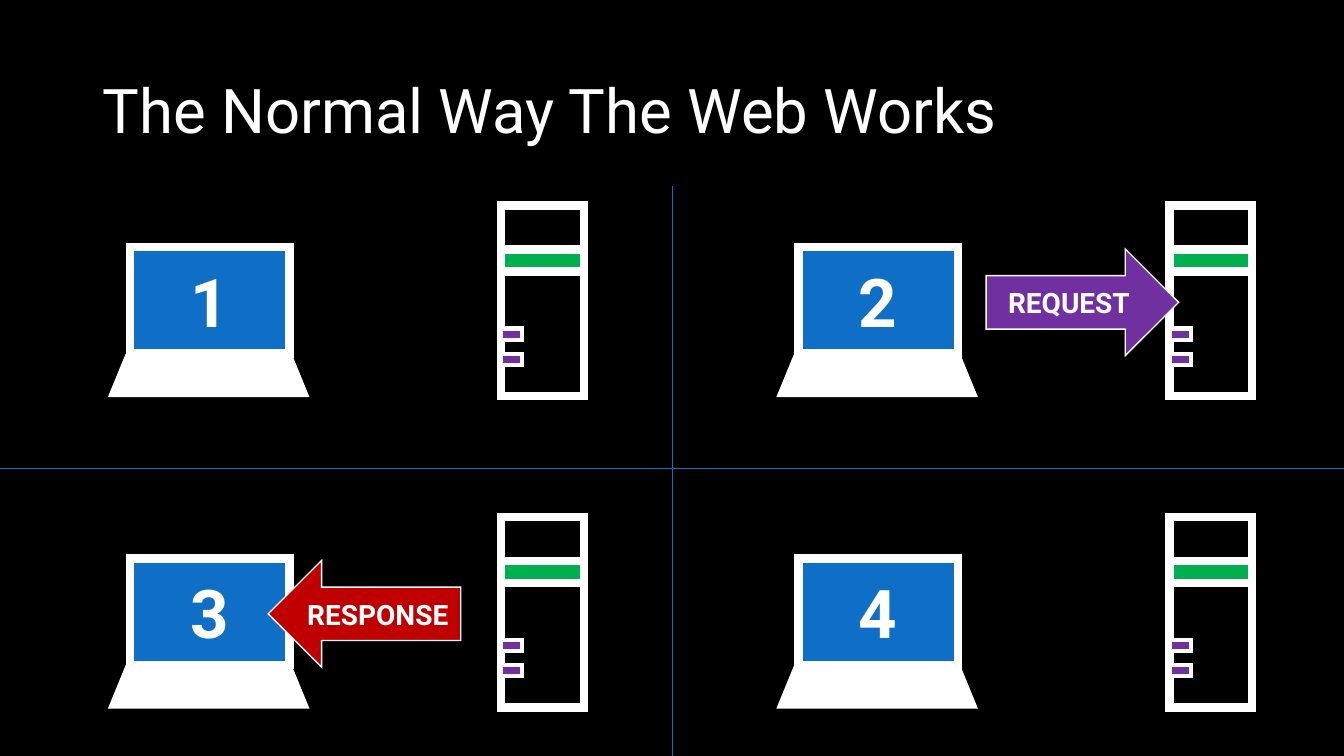
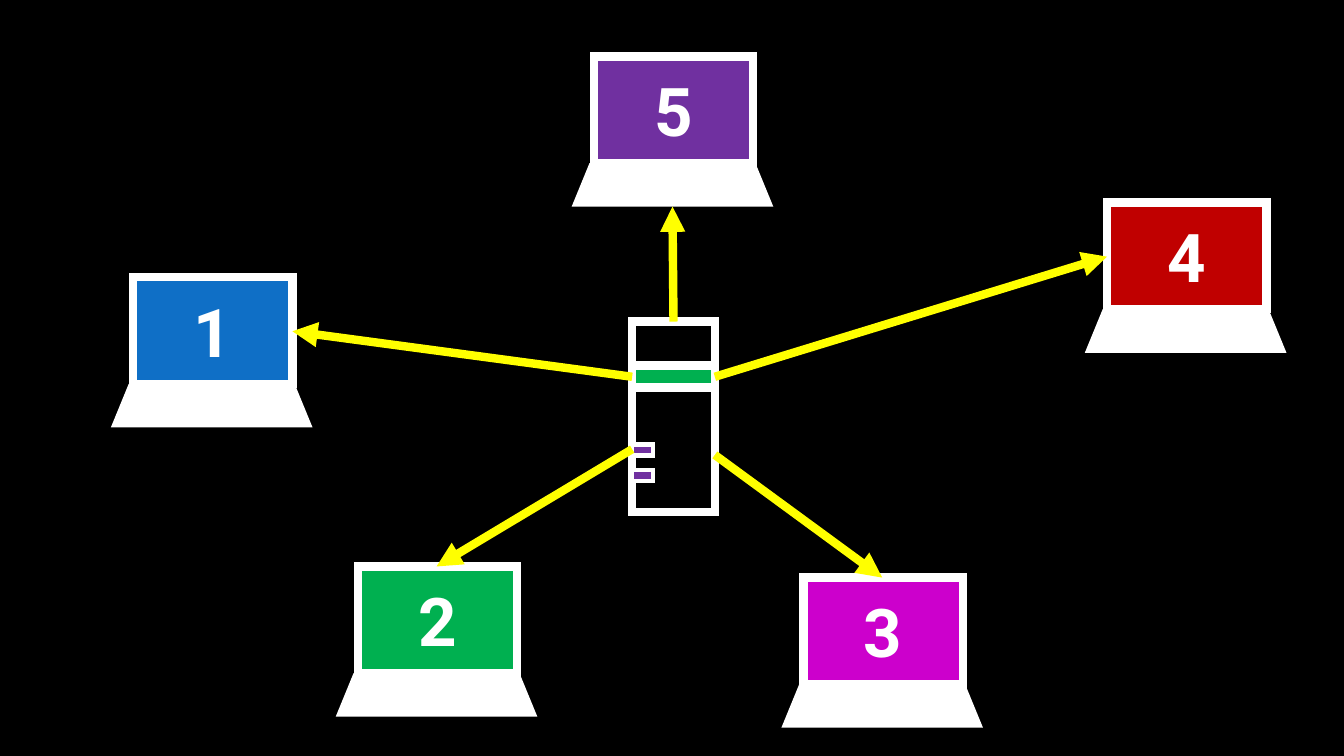
from lxml import etree
from pptx import Presentation, util as u
from pptx.dml.color import RGBColor
from pptx.enum import shapes as s, text as t
from pptx.oxml import ns

WIDE, HIGH = 13.33, 7.5
FONT = "Roboto"
BLACK, WHITE, BLUE, GREEN = "000000", "FFFFFF", "0F6FC6", "00B050"
VIOLET, RED, PINK, YELLOW = "7030A0", "C00000", "CC00CC", "FFFF00"
KIND = s.MSO_SHAPE
LAPTOP = (2, 1.49)
SERVER = (0.82, 1.89)
ARROW = (1.91, 1.06)


def paint(fmt, color):
    """Give a fill or font colour from a hex string."""
    if hasattr(fmt, "solid"):
        fmt.solid()
        fmt.fore_color.rgb = RGBColor.from_string(color)
    else:
        fmt.color.rgb = RGBColor.from_string(color)


def tag(parent, name, **attrs):
    return etree.SubElement(parent, ns.qn(name), attrs)


def write(shape, words, size, bold=True, align=t.PP_ALIGN.CENTER):
    frame = shape.text_frame
    frame.word_wrap = True
    frame.vertical_anchor = t.MSO_ANCHOR.MIDDLE
    frame.text = words
    para = frame.paragraphs[0]
    para.alignment = align
    font = para.runs[0].font
    font.name, font.size, font.bold = FONT, u.Pt(size), bold
    paint(font, WHITE)
    return para


def block(parts, kind, x, y, w, h, fill, edge=0):
    """Add a filled shape with a sharp white edge."""
    shape = parts.add_shape(kind, *map(u.Inches, (x, y, w, h)))
    shape.shadow.inherit = False
    paint(shape.fill, fill)
    if edge:
        paint(shape.line.fill, WHITE)
        shape.line.width = u.Pt(edge)
        tag(shape.line._get_or_add_ln(), "a:miter", lim="800000")
    else:
        shape.line.fill.background()
    return shape


def link(slide, start, end, color, width, head=False):
    line = slide.shapes.add_connector(
        s.MSO_CONNECTOR.STRAIGHT, *map(u.Inches, (*start, *end)))
    paint(line.line.fill, color)
    line.line.width = u.Pt(width)
    if head:
        tag(line.line._get_or_add_ln(), "a:tailEnd", type="triangle")
    tag(line._element.spPr, "a:effectLst")


def spot(x, y, size, across, down):
    """Find a point at shares of a box."""
    return x + size[0] * across, y + size[1] * down


def laptop(slide, x, y, label, color):
    w, h = LAPTOP
    parts = slide.shapes.add_group_shape().shapes
    fold = h * 0.71
    screen = block(parts, KIND.RECTANGLE, x + w * 0.11, y, w * 0.79, fold, color, 6)
    write(screen, label, 48)
    base = block(parts, KIND.TRAPEZOID, x, y + fold, w, h - fold, WHITE)
    base.adjustments[0] = 0.41


def server(slide, x, y):
    w, h = SERVER
    parts = slide.shapes.add_group_shape().shapes
    block(parts, KIND.RECTANGLE, x, y, w, h, BLACK, 6)
    block(parts, KIND.RECTANGLE, x, y + h * 0.23, w, 0.22, GREEN, 6)
    for row in (1.22, 1.47):
        block(parts, KIND.RECTANGLE, x, y + row, 0.21, 0.11, VIOLET, 3)


def cell(slide, x, y, label, arrow):
    """Draw one step: laptop, server and any message between them."""
    laptop(slide, x + 1.07, y + 0.6, label, BLUE)
    server(slide, x + 4.97, y + 0.19)
    if arrow:
        kind, left, color, words = arrow
        shape = block(slide.shapes, kind, x + left, y + 0.62, *ARROW, color, 1)
        write(shape, words, 20)


def page(deck):
    slide = deck.slides.add_slide(deck.slide_layouts[6])
    paint(slide.background.fill, BLACK)
    return slide


def steps(deck):
    slide = page(deck)
    # Title
    box = slide.shapes.add_textbox(*map(u.Inches, (0.92, 0.4, 11.5, 1.45)))
    para = write(box, "The Normal Way The Web Works", 44, False, t.PP_ALIGN.LEFT)
    para.line_spacing = 0.9
    # Dividers
    top, mid = 1.85, 4.65
    link(slide, (WIDE / 2, top), (WIDE / 2, HIGH), BLUE, 0.5)
    link(slide, (0, mid), (WIDE, mid), BLUE, 0.5)
    # Two by two grid of steps
    arrows = {1: (KIND.RIGHT_ARROW, 3.15, VIOLET, "REQUEST"),
              2: (KIND.LEFT_ARROW, 2.66, RED, "RESPONSE")}
    for i in range(4):
        row, col = divmod(i, 2)
        cell(slide, col * 6.63, top + row * 3.09, str(i + 1), arrows.get(i))


def hub(deck):
    slide = page(deck)
    core = (6.27, 3.19)
    # Laptop place and colour, then link ends as shares of server and laptop
    nodes = [
        (1.1, 2.75, BLUE, (0, 0.29), (0.9, 0.36)),
        (3.33, 5.62, GREEN, (0, 0.67), (0.5, 0)),
        (7.75, 5.73, PINK, (1, 0.7), (0.5, 0)),
        (10.76, 2.01, RED, (1, 0.29), (0.11, 0.36)),
        (5.67, 0.56, VIOLET, (0.5, 0), (0.5, 1)),
    ]
    for i, (x, y, color, _, _) in enumerate(nodes, 1):
        laptop(slide, x, y, str(i), color)
    server(slide, *core)
    # Links from the server
    for x, y, _, out, into in nodes:
        link(slide, spot(*core, SERVER, *out), spot(x, y, LAPTOP, *into),
             YELLOW, 6, True)


def main():
    deck = Presentation()
    deck.slide_width, deck.slide_height = u.Inches(WIDE), u.Inches(HIGH)
    steps(deck)
    hub(deck)
    deck.save("out.pptx")


if __name__ == "__main__":
    main()
